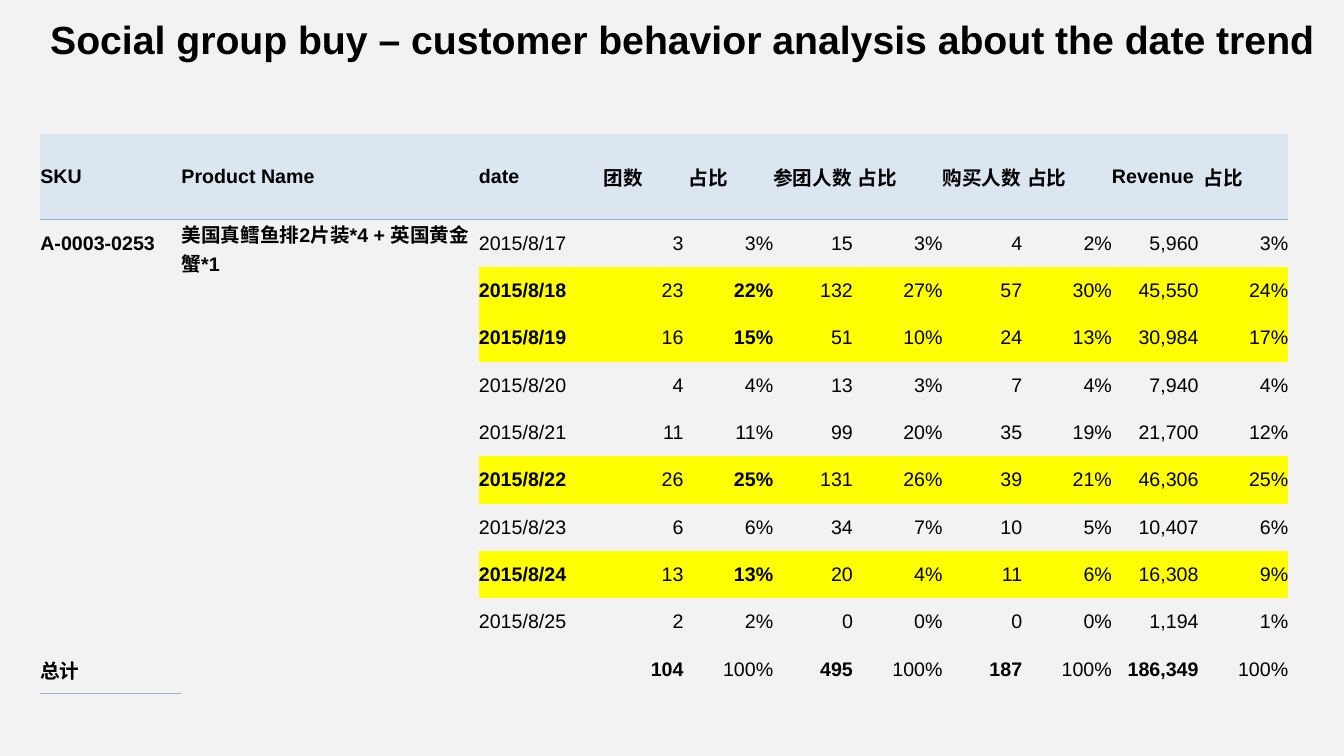
import dataclasses

import lxml.etree
import pptx
import pptx.dml.color
import pptx.enum.text
import pptx.oxml.ns
import pptx.util

PX = 9144  # one px is a hundredth of an inch
PLAIN = "{2D5ABB26-0587-4C30-8999-92F81FD0307C}"


@dataclasses.dataclass(frozen=True)
class Theme:
    back: str = "F2F2F2"
    ink: str = "000000"
    head: str = "DCE6F1"
    mark: str = "FFFF00"
    rule: str = "95B3D7"
    latin: str = "Arial"
    asian: str = "Noto Sans CJK SC"
    title: int = 28
    body: int = 14


THEME = Theme()

# Table content
WIDTHS = [140, 295, 124] + [84] * 6 + [91, 84]
HEADS = ["SKU", "Product Name", "date", "团数", "占比", "参团人数", "占比",
         "购买人数", "占比", "Revenue", "占比"]
SKU = "A-0003-0253"
PRODUCT = ["美国真鳕鱼排", "2", "片装", "*4 + ", "英国黄金蟹", "*1"]
DAYS = [
    ("2015/8/17", "3", "3%", "15", "3%", "4", "2%", "5,960", "3%"),
    ("2015/8/18", "23", "22%", "132", "27%", "57", "30%", "45,550", "24%"),
    ("2015/8/19", "16", "15%", "51", "10%", "24", "13%", "30,984", "17%"),
    ("2015/8/20", "4", "4%", "13", "3%", "7", "4%", "7,940", "4%"),
    ("2015/8/21", "11", "11%", "99", "20%", "35", "19%", "21,700", "12%"),
    ("2015/8/22", "26", "25%", "131", "26%", "39", "21%", "46,306", "25%"),
    ("2015/8/23", "6", "6%", "34", "7%", "10", "5%", "10,407", "6%"),
    ("2015/8/24", "13", "13%", "20", "4%", "11", "6%", "16,308", "9%"),
    ("2015/8/25", "2", "2%", "0", "0%", "0", "0%", "1,194", "1%"),
]
PEAKS = {"2015/8/18", "2015/8/19", "2015/8/22", "2015/8/24"}
TOTALS = ["104", "100%", "495", "100%", "187", "100%", "186,349", "100%"]


def px(count):
    return pptx.util.Emu(count * PX)


def tint(fill, color):
    fill.solid()
    fill.fore_color.rgb = pptx.dml.color.RGBColor.from_string(color)


def set_face(font, text):
    """Pick the Latin or the Asian face by the script of the text."""
    asian = any("\u4e00" <= char <= "\u9fff" for char in text)
    font.name = THEME.asian if asian else THEME.latin
    tag = pptx.oxml.ns.qn("a:ea")
    lxml.etree.SubElement(font._rPr, tag, typeface=THEME.asian)


def style(para, size, bold):
    para.font.size = pptx.util.Pt(size)
    para.font.bold = bold
    tint(para.font.fill, THEME.ink)


def add_title(slide, text):
    box = slide.shapes.add_textbox(px(40), px(10), px(1274), px(104))
    box.text_frame.word_wrap = True
    para = box.text_frame.paragraphs[0]
    para.text = text
    style(para, THEME.title, True)
    set_face(para.font, text)


def add_rule(cell):
    """Draw a thin line along the bottom of a cell."""
    name = pptx.oxml.ns.qn
    line = lxml.etree.Element(name("a:lnB"), w=str(pptx.util.Pt(0.5)))
    fill = lxml.etree.SubElement(line, name("a:solidFill"))
    lxml.etree.SubElement(fill, name("a:srgbClr"), val=THEME.rule)
    cell._tc.get_or_add_tcPr().insert(0, line)


def fill_cell(cell, parts, bold=False, right=False, color=None):
    cell.vertical_anchor = pptx.enum.text.MSO_ANCHOR.MIDDLE
    cell.margin_left = cell.margin_top = cell.margin_bottom = 0
    # Counts stand a little off the right edge, percentages touch it
    count = right and not parts[0].endswith("%")
    cell.margin_right = px(5 if count else 0)
    if color:
        tint(cell.fill, color)
    para = cell.text_frame.paragraphs[0]
    style(para, THEME.body, bold)
    if right:
        para.alignment = pptx.enum.text.PP_ALIGN.RIGHT
    for part in parts:
        run = para.add_run()
        run.text = part
        if len(parts) > 1:
            set_face(run.font, part)
    if len(parts) == 1:
        set_face(para.font, parts[0])


def add_grid(slide):
    rows = len(DAYS) + 2
    frame = slide.shapes.add_table(
        rows, len(WIDTHS), px(40), px(133), px(sum(WIDTHS)), px(558))
    table = frame.table
    table.first_row = table.horz_banding = False
    table._tbl.tblPr.find(pptx.oxml.ns.qn("a:tableStyleId")).text = PLAIN
    for col, width in zip(table.columns, WIDTHS):
        col.width = px(width)
    for index, row in enumerate(table.rows):
        row.height = px(47 if index else 85)
    return table


def main():
    deck = pptx.Presentation()
    deck.slide_width, deck.slide_height = px(1333), px(750)
    slide = deck.slides.add_slide(deck.slide_layouts[6])
    tint(slide.background.fill, THEME.back)
    add_title(slide, "Social group buy – customer behavior analysis "
                     "about the date trend")
    table = add_grid(slide)

    # Header row
    for col, text in enumerate(HEADS):
        cell = table.cell(0, col)
        fill_cell(cell, [text], bold=True, color=THEME.head)
        add_rule(cell)

    # Product and its days
    fill_cell(table.cell(1, 0), [SKU], bold=True)
    fill_cell(table.cell(1, 1), PRODUCT, bold=True)
    for row, day in enumerate(DAYS, 1):
        peak = day[0] in PEAKS
        for col, text in enumerate(day, 2):
            fill_cell(table.cell(row, col), [text],
                      bold=peak and col in (2, 4), right=col > 2,
                      color=THEME.mark if peak else None)

    # Totals row
    last = len(DAYS) + 1
    fill_cell(table.cell(last, 0), ["总计"], bold=True)
    add_rule(table.cell(last, 0))
    for col, text in enumerate(TOTALS, 3):
        fill_cell(table.cell(last, col), [text],
                  bold=not text.endswith("%"), right=True)

    deck.save("out.pptx")


if __name__ == "__main__":
    main()
